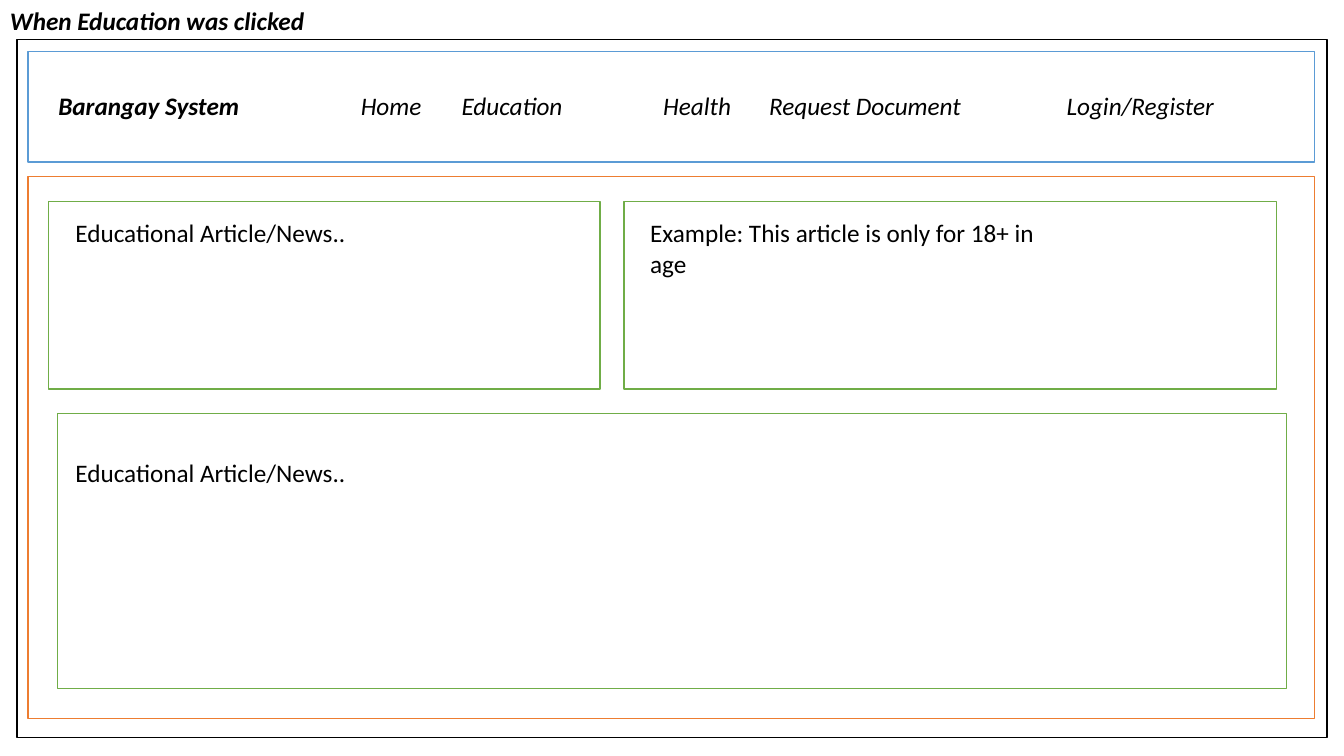
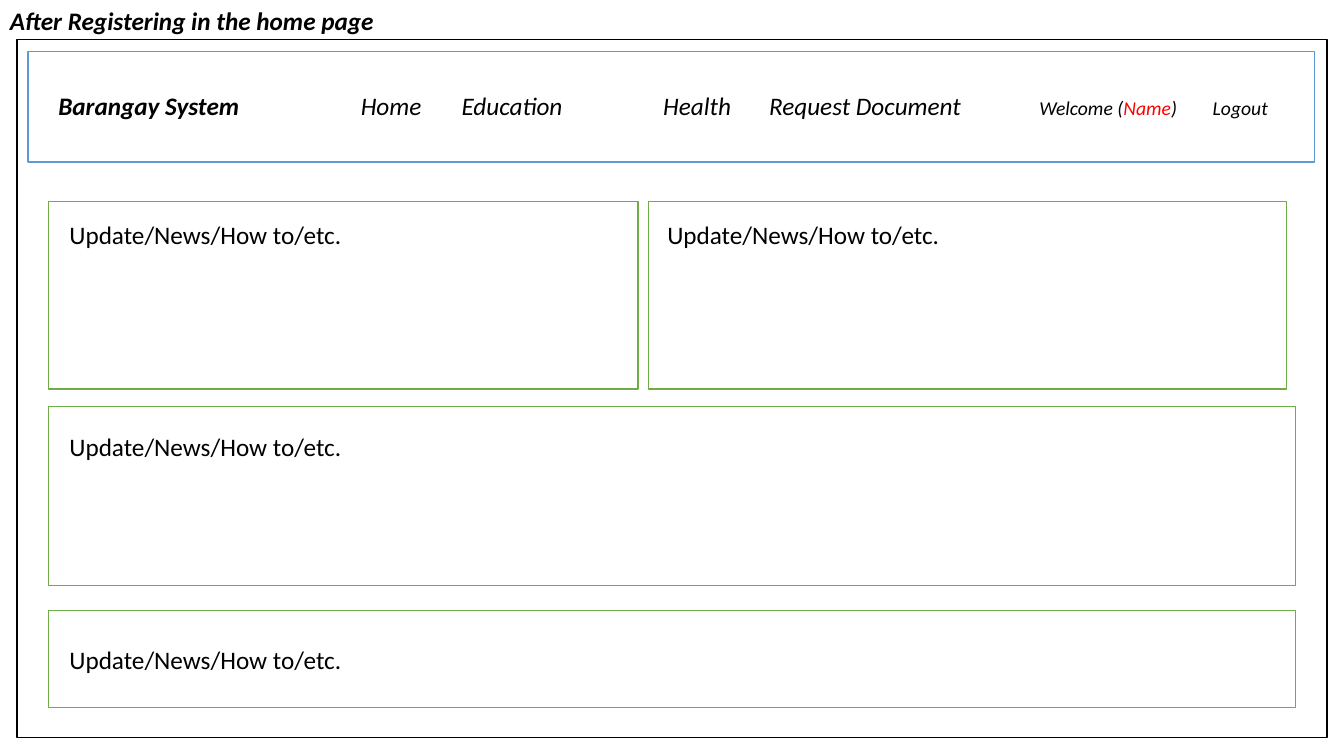
from dataclasses import dataclass
from lxml.etree import SubElement
from pptx import Presentation
from pptx.dml.color import RGBColor as RGB
from pptx.enum.shapes import MSO_SHAPE as SHAPE
from pptx.enum.text import MSO_AUTO_SIZE as AUTO
from pptx.oxml.ns import qn
from pptx.util import Emu, Pt


@dataclass(frozen=True)
class Theme:
    font: str = "Calibri"
    body: int = 18
    small: int = 14
    line: int = 1
    white: RGB = RGB(0xFF, 0xFF, 0xFF)
    black: RGB = RGB(0, 0, 0)
    red: RGB = RGB(0xFF, 0, 0)
    blue: RGB = RGB(0x5B, 0x9B, 0xD5)
    orange: RGB = RGB(0xED, 0x7D, 0x31)
    green: RGB = RGB(0x70, 0xAD, 0x47)


T = Theme()
PX = 9144  # EMU per px, 100 px to the inch


def add_frame(slide, box, color):
    sp = slide.shapes.add_shape(SHAPE.RECTANGLE, *(Emu(v * PX) for v in box))
    sp.shadow.inherit = False
    sp.fill.solid()
    sp.fill.fore_color.rgb = T.white
    sp.line.color.rgb = color
    sp.line.width = Pt(T.line)


def add_text(slide, box, runs, wrap=True, italic=False, tabs=()):
    """Add one paragraph; each run is (text, size, colour, bold), tabs are in px."""
    tb = slide.shapes.add_textbox(*(Emu(v * PX) for v in box))
    tf = tb.text_frame
    tf.word_wrap = wrap
    tf.auto_size = AUTO.SHAPE_TO_FIT_TEXT
    p = tf.paragraphs[0]
    if tabs:
        tab_list = SubElement(p._p.get_or_add_pPr(), qn("a:tabLst"))
        for pos in tabs:
            SubElement(tab_list, qn("a:tab"), pos=str(pos * PX), algn="l")
    for text, size, color, bold in runs:
        r = p.add_run()
        r.text = text
        r.font.name = T.font
        r.font.size = Pt(size)
        r.font.color.rgb = color
        r.font.bold = bold
        r.font.italic = italic


MENU_TABS = [300, 400, 600, 705]
MENU = [("Barangay System\t", T.body, T.black, True),
        ("Home\tEducation\tHealth\tRequest Document\t", T.body, T.black, False)]
ARTICLE = "Educational Article/News.."
UPDATE = "Update/News/How to/etc."

# Each card: frame, text box, text
PAGES = [
    dict(
        title="When Education was clicked", title_width=315,
        account=[("Login/Register", T.body, T.black, False)],
        account_tabs=[1000],
        panels=[(28, 175, 1276, 538)],
        cards=[
            ((48, 200, 547, 186), (65, 211, 414, 40), ARTICLE),
            ((619, 200, 647, 186), (635, 211, 414, 71),
             "Example: This article is only for 18+ in age"),
            ((57, 410, 1219, 273), (65, 449, 414, 40), ARTICLE),
        ],
    ),
    dict(
        title="After Registering in the home page", title_width=386,
        account=[("Welcome (", T.small, T.black, False),
                 ("Name", T.small, T.red, False),
                 (")\tLogout", T.small, T.black, False)],
        account_tabs=[973, 1145],
        panels=[],
        cards=[
            ((48, 200, 585, 186), (59, 213, 317, 40), UPDATE),
            ((643, 200, 633, 186), (652, 213, 317, 40), UPDATE),
            ((48, 403, 1237, 178), (59, 423, 317, 40), UPDATE),
            ((48, 606, 1237, 96), (59, 634, 317, 40), UPDATE),
        ],
    ),
]

prs = Presentation()
prs.slide_width = Emu(1333 * PX)
prs.slide_height = Emu(750 * PX)

for page in PAGES:
    s = prs.slides.add_slide(prs.slide_layouts[6])
    add_text(s, (0, 0, page["title_width"], 40),
             [(page["title"], T.body, T.black, True)], wrap=False, italic=True)
    add_frame(s, (17, 39, 1299, 693), T.black)
    add_frame(s, (28, 51, 1276, 110), T.blue)
    for panel in page["panels"]:
        add_frame(s, panel, T.orange)
    add_text(s, (48, 85, 1237, 40), MENU + page["account"], italic=True,
             tabs=MENU_TABS + page["account_tabs"])
    for frame, text_box, text in page["cards"]:
        add_frame(s, frame, T.green)
        add_text(s, text_box, [(text, T.body, T.black, False)])

prs.save("out.pptx")
